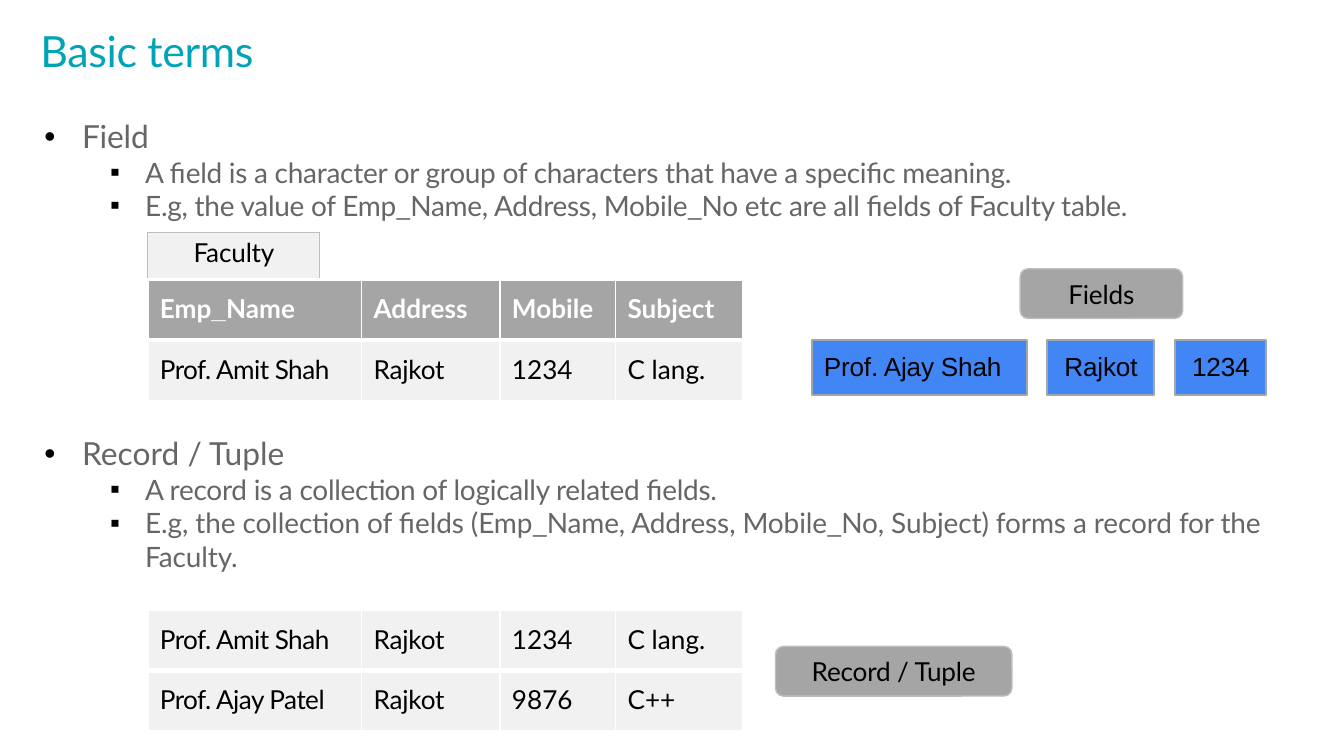
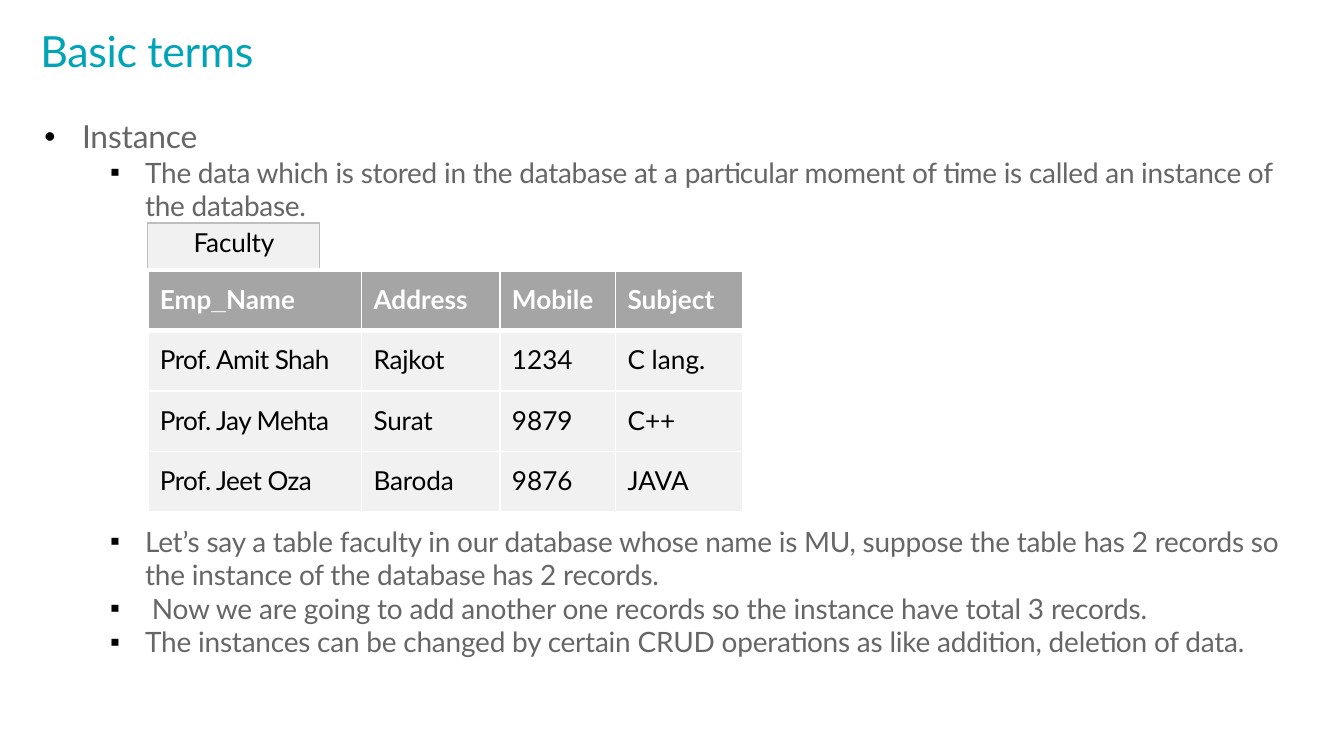
from lxml import etree
from pptx import Presentation
from pptx import util as u
from pptx.dml.color import RGBColor
from pptx.enum import shapes, text
from pptx.oxml import ns

HUES = dict(title="00A4B6", body="666666", ink="000000", white="FFFFFF",
            head="A5A5A5", cell="F1F1F1", edge="BEBEBE", blue="4285F4")
TITLE = "Basic terms"
HEAD = ("Emp_Name", "Address", "Mobile", "Subject")
AMIT = ("Prof. Amit Shah", "Rajkot", "1234", "C lang.")
SLIDES = [
    dict(
        lists=[
            ((0.32, 0.85, 9.43, 0.81), [
                ("top", "Field", -0.1),
                ("sub", "A field is a character or group of characters that have a specific meaning.", -0.15),
                ("sub", "E.g, the value of Emp_Name, Address, Mobile_No etc are all fields of Faculty table.", -0.13),
            ]),
            ((0.32, 3.21, 9.43, 1.06), [
                ("top", "Record / Tuple", 0),
                ("sub", "A record is a collection of logically related fields.", -0.14),
                ("sub", "E.g, the collection of fields (Emp_Name, Address, Mobile_No, Subject) "
                        "forms a record for the Faculty.", -0.06),
            ]),
        ],
        tables=[
            (1.73, "Faculty", [AMIT]),
            (4.54, None, [AMIT, ("Prof. Ajay Patel", "Rajkot", "9876", "C++")]),
        ],
        pills=[("Fields", (7.59, 2, 1.21, 0.37)), ("Record / Tuple", (5.77, 4.81, 1.76, 0.37))],
        boxes=[("Prof. Ajay Shah", 1.6, 0.09), ("Rajkot", 0.8, 0.13), ("1234", 0.68, 0.13)],
    ),
    dict(
        lists=[
            ((0.32, 0.85, 9.45, 0.81), [
                ("top", "Instance", -0.1),
                ("sub", "The data which is stored in the database at a particular moment of time "
                        "is called an instance of the database.", -0.13),
            ]),
            ((0.81, 3.88, 8.95, 1.03), [
                ("sub", "Let’s say a table faculty in our database whose name is MU, suppose the table "
                        "has 2 records so the instance of the database has 2 records.", -0.11),
                ("inset", "Now we are going to add another one records so the instance have total 3 records.", -0.09),
                ("sub", "The instances can be changed by certain CRUD operations as like addition, "
                        "deletion of data.", -0.12),
            ]),
        ],
        tables=[
            (1.66, "Faculty", [AMIT, ("Prof. Jay Mehta", "Surat", "9879", "C++"),
                               ("Prof. Jeet Oza", "Baroda", "9876", "JAVA")]),
        ],
        pills=[],
        boxes=[],
    ),
]
LEVELS = dict(top=(0, 17, "•", 0.61, 0.28), sub=(1, 15, "▪", 1.08, 0.26),
              inset=(1, 15, "▪", 1.13, 0.31))
COLS = (1.59, 1.03, 0.86, 0.95)
TRACK = (-0.3, -0.1, 0, 0)
TAB = 1.28
LEFT = 1.1
ROW, TOP = 0.45, 0.35
BOX = dict(x=6.04, y=2.53, high=0.41, gap=0.15)


def hue(name):
    return RGBColor.from_string(HUES[name])


def write(para, words, size=14, color="ink", font="Lato", alt="Calibri",
          bold=False, track=0, align="LEFT"):
    para.alignment = getattr(text.PP_ALIGN, align)
    para.space_before = u.Pt(0)
    for i, part in enumerate(words.split("_")):
        for bit, face in ([("_", alt)] if i else []) + [(part, font)]:
            run = para.add_run()
            run.text = bit
            run.font.size = u.Pt(size)
            run.font.name = face
            run.font.bold = bold
            run.font.color.rgb = hue(color)
            run._r.get_or_add_rPr().set("spc", str(round(track * 100)))


def place(shape, at):
    shape.left, shape.top, shape.width, shape.height = map(u.Inches, at)


def inset(part, left=0, top=0):
    part.margin_left, part.margin_top = u.Inches(left), u.Inches(top)
    part.margin_right = part.margin_bottom = 0


def pad(frame, left=0, top=0, wrap=True, anchor="TOP"):
    inset(frame, left, top)
    frame.word_wrap = wrap
    frame.auto_size = text.MSO_AUTO_SIZE.NONE
    frame.vertical_anchor = getattr(text.MSO_ANCHOR, anchor)


def mark(para, sign, left, hang):
    props = para._p.get_or_add_pPr()
    props.set("marL", str(u.Inches(left)))
    props.set("indent", str(-u.Inches(hang)))
    tint = etree.SubElement(props, ns.qn("a:buClr"))
    etree.SubElement(tint, ns.qn("a:srgbClr"), val=HUES["ink"])
    etree.SubElement(props, ns.qn("a:buFont"), typeface="Arial")
    etree.SubElement(props, ns.qn("a:buChar"), char=sign)


def fill_list(shape, at, lines):
    place(shape, at)
    frame = shape.text_frame
    pad(frame, top=0.02)
    for i, (kind, words, track) in enumerate(lines):
        level, size, sign, start, hang = LEVELS[kind]
        para = frame.add_paragraph() if i else frame.paragraphs[0]
        para.level = level
        write(para, words, size=size, color="body", track=track)
        mark(para, sign, start - at[0], hang)


def edge(cell, **sides):
    props = cell._tc.get_or_add_tcPr()
    for n, side in enumerate(s for s in "LRTB" if s in sides):
        color, wide = sides[side]
        line = etree.Element(ns.qn("a:ln" + side), w=str(u.Pt(wide)))
        solid = etree.SubElement(line, ns.qn("a:solidFill"))
        etree.SubElement(solid, ns.qn("a:srgbClr"), val=HUES[color])
        props.insert(n, line)


def paint(part, name):
    part.fill.solid()
    part.fill.fore_color.rgb = hue(name)


def fill_cell(cell, words, fill="cell", left=0.09, top=0.1, **form):
    paint(cell, fill)
    inset(cell, left, top)
    write(cell.text_frame.paragraphs[0], words, **form)


def add_tab(grid, name):
    side = ("edge", 0.75)
    fill_cell(grid.cell(0, 0), name, left=0.34, top=0.03, track=-0.1)
    edge(grid.cell(0, 0), L=side, R=side, T=side, B=("white", 2.25))
    last = len(grid.columns) - 1
    for c in range(1, last + 1):
        inset(grid.cell(0, c))
    rest = grid.cell(0, 1)
    rest.merge(grid.cell(0, last))
    rest.fill.background()
    edge(rest, L=side, B=("white", 1))


def add_table(slide, top, name, data):
    body = [HEAD] + data if name else data
    wide = (TAB, COLS[0] - TAB) + COLS[1:] if name else COLS
    skip = 1 if name else 0
    high = [TOP] * skip + [ROW] * len(body)
    at = map(u.Inches, (LEFT, top, sum(wide), sum(high)))
    grid = slide.shapes.add_table(len(high), len(wide), *at).table
    grid.first_row = grid.horz_banding = False
    for col, size in zip(grid.columns, wide):
        col.width = u.Inches(size)
    for row, size in zip(grid.rows, high):
        row.height = u.Inches(size)
    if name:
        add_tab(grid, name)
    thin, thick = ("white", 1), ("white", 3)
    for r, row in enumerate(body):
        if name:
            grid.cell(r + 1, 0).merge(grid.cell(r + 1, 1))
        for c, words in enumerate(row):
            cell = grid.cell(r + skip, c + skip if c else 0)
            if name and r == 0:
                fill_cell(cell, words, fill="head", color="white", bold=True, alt="Arial")
            else:
                fill_cell(cell, words, track=TRACK[c])
            above = ("white", 2.25) if name and r == c == 0 else thin
            edge(cell, L=thin, R=thin, T=thick if r == 1 else above, B=thick if r == 0 else thin)


def add_box(slide, kind, at, fill, line, wide):
    shape = slide.shapes.add_shape(kind, *map(u.Inches, at))
    shape.shadow.inherit = False
    paint(shape, fill)
    shape.line.color.rgb = hue(line)
    shape.line.width = u.Pt(wide)
    return shape


def add_pill(slide, words, at):
    pill = add_box(slide, shapes.MSO_SHAPE.ROUNDED_RECTANGLE, at, "head", "edge", 0.75)
    pill.adjustments[0] = 0.16
    pad(pill.text_frame, wrap=False, anchor="MIDDLE")
    write(pill.text_frame.paragraphs[0], words, track=-0.1, align="CENTER")


def add_row(slide, boxes):
    x = BOX["x"]
    for words, wide, left in boxes:
        at = (x, BOX["y"], wide, BOX["high"])
        box = add_box(slide, shapes.MSO_SHAPE.RECTANGLE, at, "blue", "head", 1)
        pad(box.text_frame, left=left, top=0.08, wrap=False)
        write(box.text_frame.paragraphs[0], words, font="Arial", track=-0.1)
        x += wide + BOX["gap"]


def add_slide(deck, page):
    slide = deck.slides.add_slide(deck.slide_layouts[3])
    title = slide.shapes.title
    place(title, (0.28, 0.17, 1.64, 0.41))
    pad(title.text_frame, left=0.02, top=0.01, wrap=False)
    write(title.text_frame.paragraphs[0], TITLE, size=23, color="title", track=-0.2)
    for slot, (at, lines) in enumerate(page["lists"], 1):
        fill_list(slide.placeholders[slot], at, lines)
    for item in page["tables"]:
        add_table(slide, *item)
    for words, at in page["pills"]:
        add_pill(slide, words, at)
    add_row(slide, page["boxes"])


def main():
    deck = Presentation()
    deck.slide_width, deck.slide_height = u.Inches(10), u.Inches(10 * 9 / 16)
    for page in SLIDES:
        add_slide(deck, page)
    deck.save("out.pptx")


if __name__ == "__main__":
    main()
